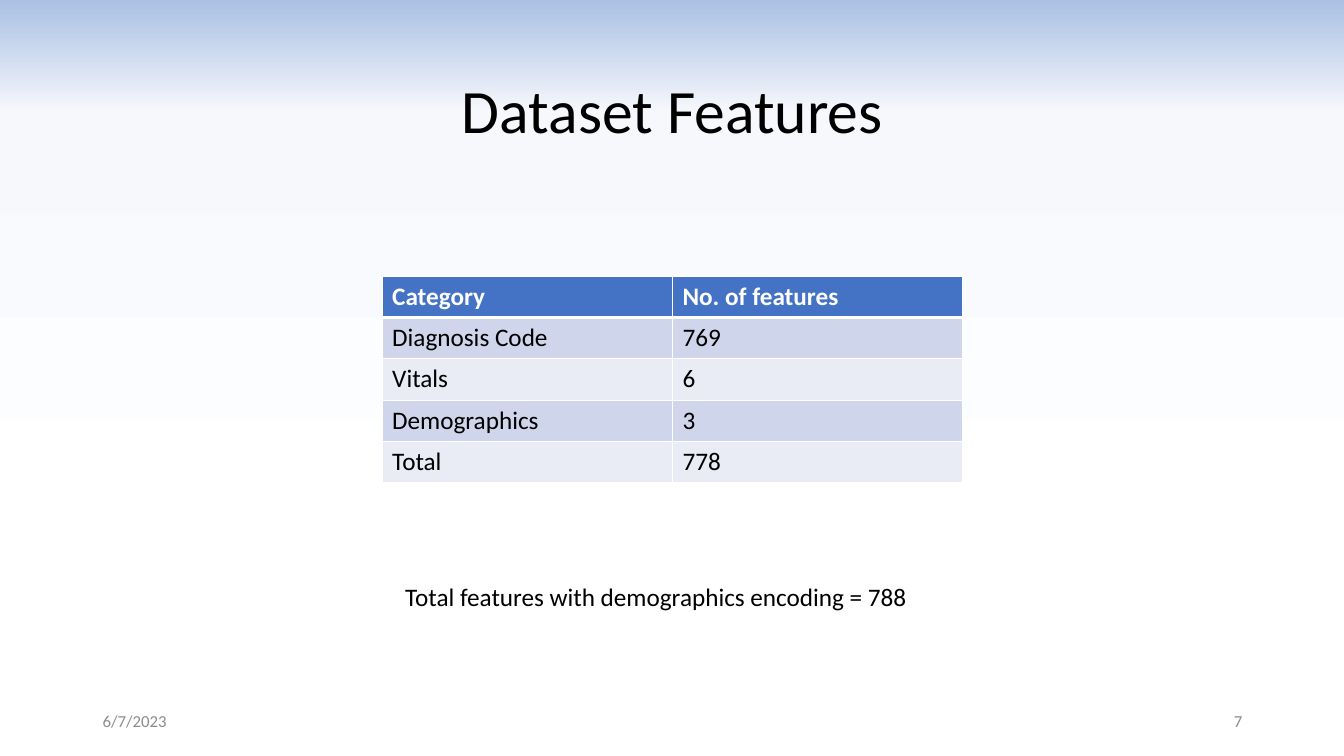
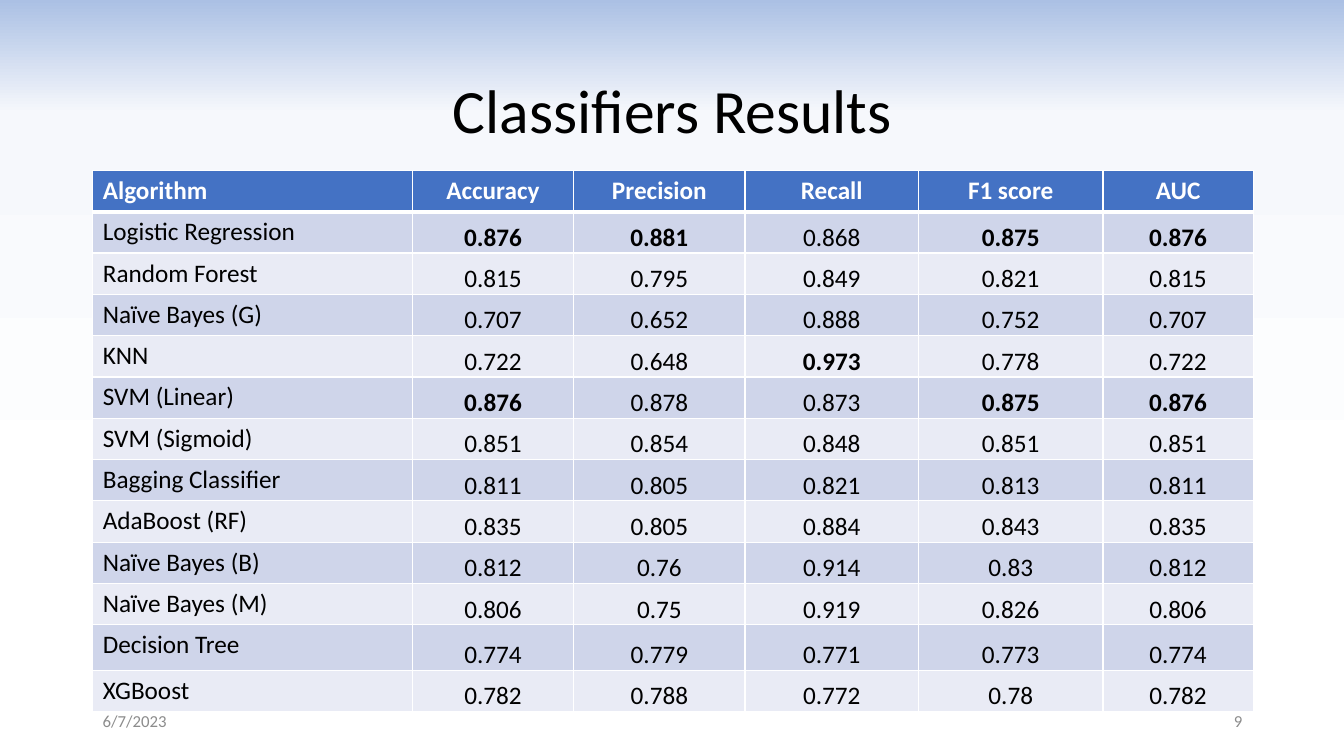
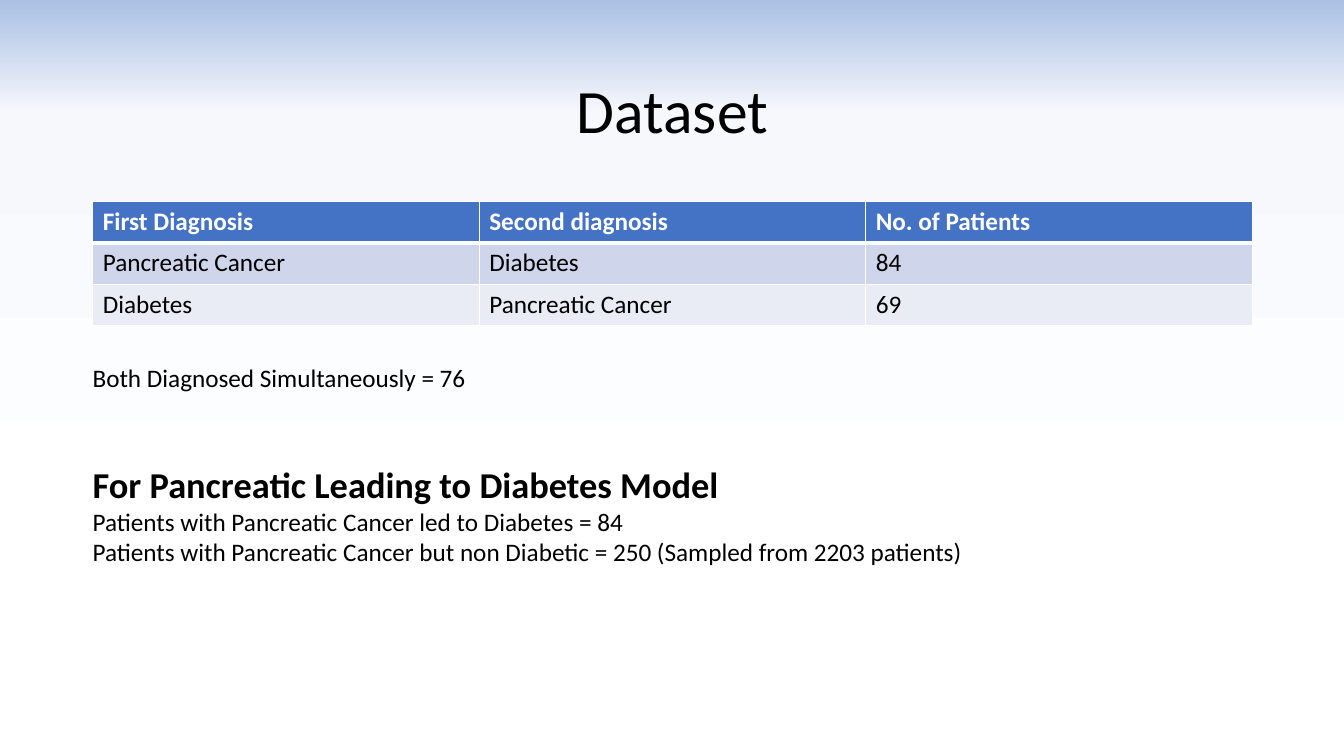
from lxml import etree
from pptx import Presentation
from pptx.dml.color import RGBColor
from pptx.enum.text import MSO_ANCHOR, PP_ALIGN
from pptx.oxml.ns import qn
from pptx.util import Inches, Pt

LEFT, CENTER, RIGHT = PP_ALIGN.LEFT, PP_ALIGN.CENTER, PP_ALIGN.RIGHT
TOP, MIDDLE, BOTTOM = MSO_ANCHOR.TOP, MSO_ANCHOR.MIDDLE, MSO_ANCHOR.BOTTOM

FONT = "Calibri"
COLORS = {
    "text": "000000",
    "muted": "8C8C8C",
    "header": "4472C4",
    "odd": "CFD5EA",
    "even": "E9EBF5",
    "white": "FFFFFF",
    "sky": "ABC0E4",
    "haze": "F6F8FC",
}
BACKGROUND_STOPS = [(0, "sky"), (15, "haze"), (69, "white")]
MARGIN, CONTENT_W = 0.92, 11.5
ROW_H = 0.41
DATE = "6/7/2023"

RESULT_HEAD = ["Algorithm", "Accuracy", "Precision", "Recall", "F1 score", "AUC"]
RESULTS = [
    ["Logistic Regression", 0.876, 0.881, 0.868, 0.875, 0.876],
    ["Random Forest", 0.815, 0.795, 0.849, 0.821, 0.815],
    ["Naïve Bayes (G)", 0.707, 0.652, 0.888, 0.752, 0.707],
    ["KNN", 0.722, 0.648, 0.973, 0.778, 0.722],
    ["SVM (Linear)", 0.876, 0.878, 0.873, 0.875, 0.876],
    ["SVM (Sigmoid)", 0.851, 0.854, 0.848, 0.851, 0.851],
    ["Bagging Classifier", 0.811, 0.805, 0.821, 0.813, 0.811],
    ["AdaBoost (RF)", 0.835, 0.805, 0.884, 0.843, 0.835],
    ["Naïve Bayes (B)", 0.812, 0.76, 0.914, 0.83, 0.812],
    ["Naïve Bayes (M)", 0.806, 0.75, 0.919, 0.826, 0.806],
    ["Decision Tree", 0.774, 0.779, 0.771, 0.773, 0.774],
    ["XGBoost", 0.782, 0.788, 0.772, 0.78, 0.782],
]


def rgb(name):
    return RGBColor.from_string(COLORS[name])


def style(p, size=18, color="text", bold=False, align=LEFT):
    p.alignment = align
    p.font.name = FONT
    p.font.size = Pt(size)
    p.font.bold = bold
    p.font.color.rgb = rgb(color)


def set_background(master):
    """Vertical gradient shared by every slide."""
    fill = master.background.fill
    fill.gradient()
    fill.gradient_angle = 270
    stops = master.element.find(".//" + qn("p:bg")).find(".//" + qn("a:gsLst"))
    for stop in list(stops):
        stops.remove(stop)
    for pos, name in BACKGROUND_STOPS:
        stop = etree.SubElement(stops, qn("a:gs"), pos=str(pos * 1000))
        etree.SubElement(stop, qn("a:srgbClr"), val=COLORS[name])


def add_text(s, box, lines, anchor=TOP):
    """Each line is a text and its paragraph style."""
    tf = s.shapes.add_textbox(*map(Inches, box)).text_frame
    tf.word_wrap = True
    tf.vertical_anchor = anchor
    for i, (text, look) in enumerate(lines):
        p = tf.add_paragraph() if i else tf.paragraphs[0]
        p.text = text
        style(p, **look)
    return tf


def add_title(s, text):
    look = {"size": 44, "align": CENTER}
    tf = add_text(s, (MARGIN, 0.4, CONTENT_W, 1.45), [(text, look)], MIDDLE)
    tf.paragraphs[0].line_spacing = 0.9


def add_footer(s, number):
    width = 3
    for x, text, align in [(MARGIN, DATE, LEFT),
                           (MARGIN + CONTENT_W - width, str(number), RIGHT)]:
        look = {"size": 12, "color": "muted", "align": align}
        add_text(s, (x, 6.95, width, 0.4), [(text, look)], MIDDLE)


def add_borders(cell, row):
    """White rules, thicker beneath the header row."""
    widths = {"L": 1, "R": 1, "T": 3 if row == 1 else 1, "B": 1 if row else 3}
    tcPr = cell._tc.get_or_add_tcPr()
    for side, width in widths.items():
        ln = etree.SubElement(tcPr, qn("a:ln" + side), w=str(Pt(width)))
        fill = etree.SubElement(ln, qn("a:solidFill"))
        etree.SubElement(fill, qn("a:srgbClr"), val=COLORS["white"])


def add_grid(s, x, y, col_widths, rows):
    """Banded table whose first row is the header."""
    table = s.shapes.add_table(
        len(rows), len(col_widths), Inches(x), Inches(y),
        Inches(sum(col_widths)), Inches(ROW_H * len(rows))).table
    for col, width in zip(table.columns, col_widths):
        col.width = Inches(width)
    for r, values in enumerate(rows):
        band = "header" if r == 0 else "odd" if r % 2 else "even"
        for c, value in enumerate(values):
            cell = table.cell(r, c)
            add_borders(cell, r)
            cell.fill.solid()
            cell.fill.fore_color.rgb = rgb(band)
            p = cell.text_frame.paragraphs[0]
            p.text = str(value)
            style(p, color="text" if r else "white", bold=r == 0)
    return table


def features_slide(s):
    add_title(s, "Dataset Features")
    add_grid(s, 3.79, 2.74, [2.88] * 2, [
        ["Category", "No. of features"],
        ["Diagnosis Code", 769],
        ["Vitals", 6],
        ["Demographics", 3],
        ["Total", 778],
    ])
    add_footer(s, 7)
    add_text(s, (3.92, 5.72, 5.87, 0.4),
             [("Total features with demographics encoding = 788", {})])


def results_slide(s):
    add_title(s, "Classifiers Results")
    table = add_grid(s, MARGIN, 1.69, [3.17, 1.6, 1.7, 1.72, 1.83, 1.49],
                     [RESULT_HEAD] + RESULTS)
    table.rows[11].height = Inches(0.45)
    # Centre the scores and embolden the best of each column
    for c in range(1, len(RESULT_HEAD)):
        best = max(row[c] for row in RESULTS)
        table.cell(0, c).text_frame.paragraphs[0].alignment = CENTER
        for r, row in enumerate(RESULTS, 1):
            cell = table.cell(r, c)
            cell.vertical_anchor = BOTTOM
            cell.margin_left = cell.margin_right = cell.margin_top = Inches(0.01)
            cell.margin_bottom = 0
            p = cell.text_frame.paragraphs[0]
            p.alignment = CENTER
            p.font.bold = row[c] == best
    add_footer(s, 9)


def dataset_slide(s):
    add_title(s, "Dataset")
    add_grid(s, MARGIN, 2, [CONTENT_W / 3] * 3, [
        ["First Diagnosis", "Second diagnosis", "No. of Patients"],
        ["Pancreatic Cancer", "Diabetes", 84],
        ["Diabetes", "Pancreatic Cancer", 69],
    ])
    add_text(s, (0.82, 3.55, 5.08, 0.4),
             [("Both Diagnosed Simultaneously = 76", {})])
    add_text(s, (0.82, 4.54, 10.97, 1.45), [
        ("For Pancreatic Leading to Diabetes Model", {"size": 26, "bold": True}),
        ("Patients with Pancreatic Cancer led to Diabetes = 84", {}),
        ("Patients with Pancreatic Cancer but non Diabetic = 250 "
         "(Sampled from 2203 patients)", {}),
    ])


def main():
    prs = Presentation()
    prs.slide_width, prs.slide_height = Inches(13.33), Inches(7.5)
    set_background(prs.slide_master)
    for build in (features_slide, results_slide, dataset_slide):
        build(prs.slides.add_slide(prs.slide_layouts[6]))
    prs.save("out.pptx")


if __name__ == "__main__":
    main()
